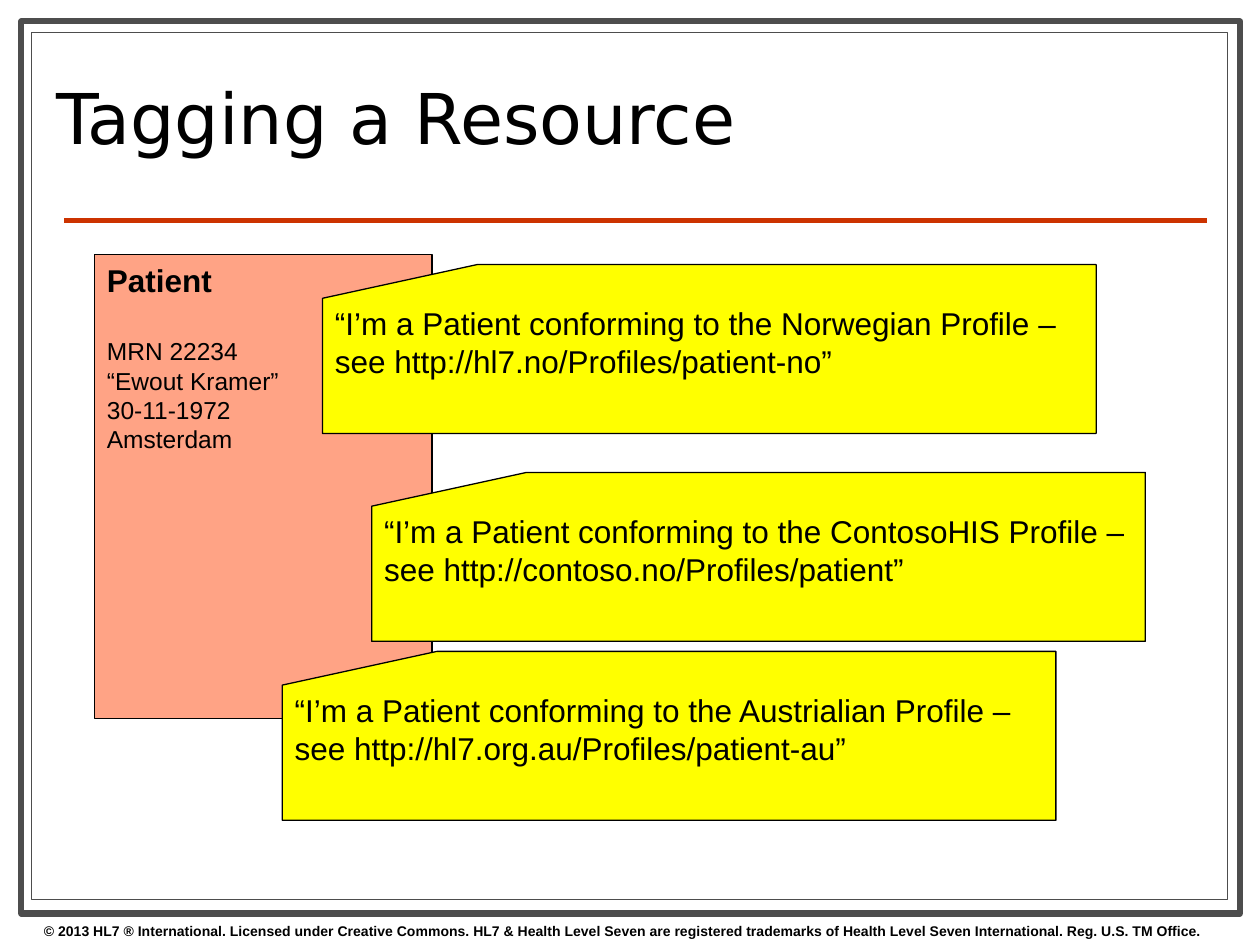
"""Build the "Tagging a Resource" slide with a patient card and three profile tags."""
from lxml.etree import SubElement
from pptx import Presentation
from pptx.dml.color import RGBColor
from pptx.enum.shapes import MSO_CONNECTOR as Connector, MSO_SHAPE as Shape
from pptx.enum.text import MSO_ANCHOR as Anchor, PP_ALIGN as Align
from pptx.oxml.ns import qn
from pptx.util import Inches, Pt

TITLE = "Tagging a Resource"
FOOTER = ("© 2013 HL7 ® International. Licensed under Creative Commons. "
          "HL7 & Health Level Seven are registered trademarks of "
          "Health Level Seven International. Reg. U.S. TM Office.")
FRAMES = [((0.17, 0.17, 9.67, 7.08), 3.5), ((0.25, 0.26, 9.49, 6.88), 0.75)]
PATIENT = ["Patient", "MRN 22234", "“Ewout Kramer”", "30-11-1972", "Amsterdam"]
TAGS = [
    (2.56, 2.1, "Norwegian", "http://hl7.no/Profiles/patient-no"),
    (2.95, 3.75, "ContosoHIS", "http://contoso.no/Profiles/patient"),
    (2.24, 5.17, "Austrialian", "http://hl7.org.au/Profiles/patient-au"),
]
TAG_SIZE = (6.14, 1.34)


def color(value):
    return RGBColor.from_string(value)


def style(paragraph, size, bold=False, name="Arial"):
    paragraph.alignment = Align.LEFT
    for span in paragraph.runs:
        span.font.size = Pt(size)
        span.font.bold = bold
        span.font.name = name
        span.font.color.rgb = color("000000")


def add_box(page, kind, place, fill, line="000000", width=0.75):
    box = page.shapes.add_shape(kind, *map(Inches, place))
    box.shadow.inherit = False
    box.fill.solid()
    box.fill.fore_color.rgb = color(fill)
    box.line.color.rgb = color(line)
    box.line.width = Pt(width)
    box.text_frame.vertical_anchor = Anchor.TOP
    return box


def add_background(page):
    for place, width in FRAMES:
        add_box(page, Shape.RECTANGLE, place, "FFFFFF", "4D4D4D", width)
    rule = page.shapes.add_connector(
        Connector.STRAIGHT, Inches(0.51), Inches(1.75), Inches(9.58), Inches(1.75))
    rule.line.color.rgb = color("CC3300")
    rule.line.width = Pt(3)
    SubElement(rule._element.spPr, qn("a:effectLst"))
    footer = page.shapes.add_textbox(*map(Inches, (0.25, 7.27, 10, 0.23)))
    footer.text_frame.word_wrap = True
    footer.text_frame.text = FOOTER
    style(footer.text_frame.paragraphs[0], 8, bold=True)


def add_title(page):
    title = page.shapes.title
    title.left, title.top, title.width, title.height = map(Inches, (0.35, 0.36, 7.17, 1.26))
    title._element.getparent().append(title._element)
    title.text_frame.text = TITLE
    title.text_frame.vertical_anchor = Anchor.MIDDLE
    para = title.text_frame.paragraphs[0]
    para.line_spacing = 0.8
    style(para, 40, name="DejaVu Sans")


def add_patient(page):
    card = add_box(page, Shape.RECTANGLE, (0.75, 2.02, 2.68, 3.68), "FFA385")
    card.text_frame.text = "\n".join(PATIENT)
    heading, *details = card.text_frame.paragraphs
    style(heading, 18, bold=True)
    for para in details:
        style(para, 14)
    details[0].space_before = Pt(21.5)


def add_tags(page):
    for left, top, profile, address in TAGS:
        tag = add_box(page, Shape.FLOWCHART_CARD, (left, top, *TAG_SIZE), "FFFF00")
        tag.text_frame.text = f"“I’m a Patient conforming to the {profile} Profile – see {address}”"
        style(tag.text_frame.paragraphs[0], 18)


def main():
    deck = Presentation()
    deck.slide_width, deck.slide_height = Inches(10), Inches(7.5)
    page = deck.slides.add_slide(deck.slide_layouts[5])
    add_background(page)
    add_title(page)
    add_patient(page)
    add_tags(page)
    deck.save("out.pptx")


if __name__ == "__main__":
    main()
